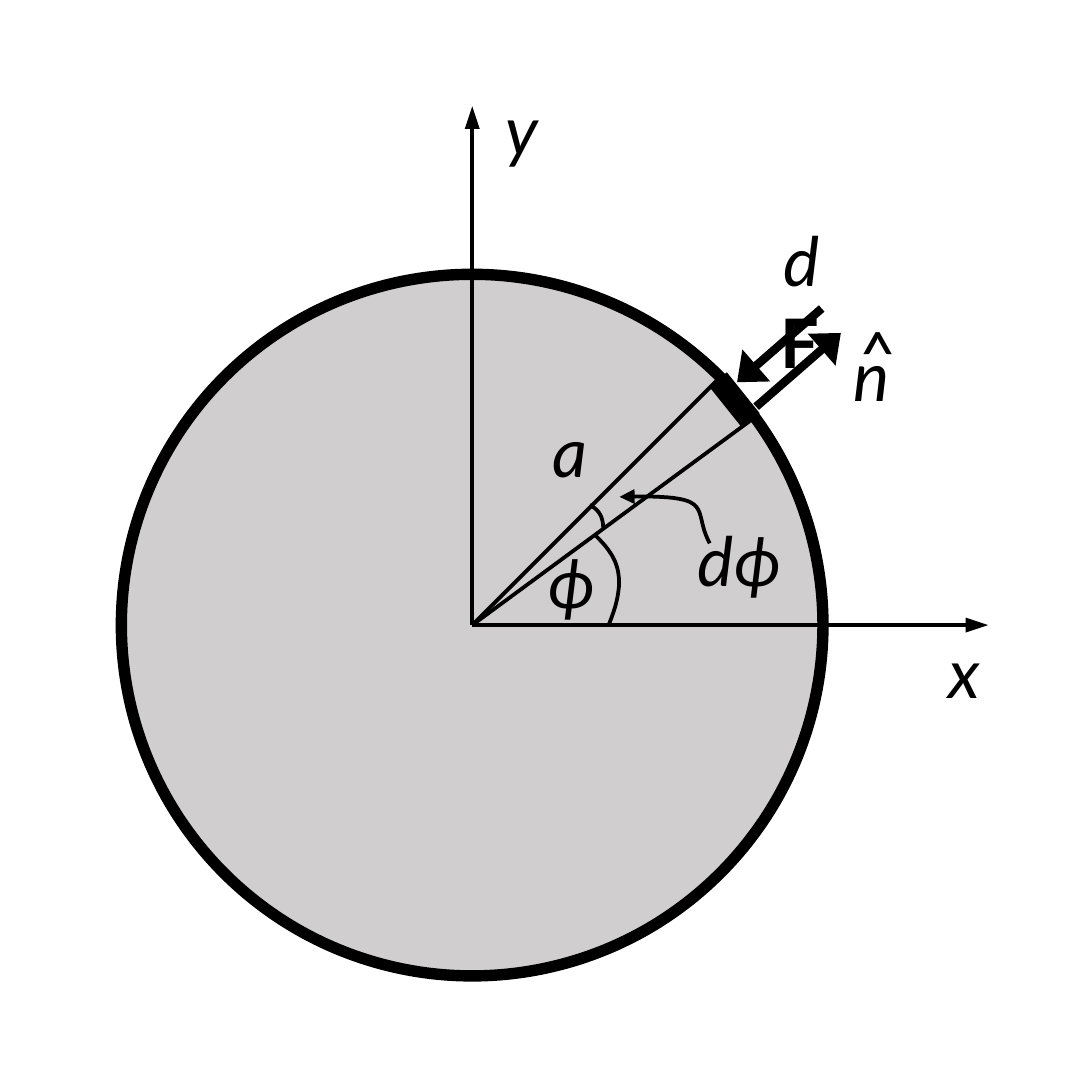
from pptx import Presentation
from pptx.dml.color import RGBColor
from pptx.enum.shapes import MSO_CONNECTOR, MSO_SHAPE
from pptx.enum.text import MSO_AUTO_SIZE, PP_ALIGN
from pptx.oxml.ns import qn
from pptx.util import Inches, Pt
from lxml.etree import SubElement

INK, DISC = "000000", "D0CECE"
FONT, TEXT_SIZE = "Lato", 18
LABEL_HEIGHT = 0.4
CENTER = (1.73, 2.29)
RADIUS = 1.285
CURVE_STEPS = 24

AXIS_HEAD = {"w": "sm", "len": "med"}
POINTER_HEAD = {"w": "sm", "len": "sm"}
FORCE_HEAD = {"w": "lg", "len": "med"}

RIM_START, RIM_END = (2.63, 1.39), (2.75, 1.54)

LINES = [
    (CENTER, (1.73, 0.39), 1, AXIS_HEAD),
    (CENTER, (3.62, 2.29), 1, AXIS_HEAD),
    (CENTER, RIM_START, 1, None),
    (CENTER, RIM_END, 1, None),
    (RIM_START, RIM_END, 6, None),
    ((2.77, 1.49), (3.08, 1.22), 2.25, FORCE_HEAD),
    ((3.01, 1.13), (2.7, 1.4), 2.25, FORCE_HEAD),
]

CURVES = [
    ([(2.18, 1.96), (2.25, 2.03), (2.31, 2.1), (2.23, 2.29)], None),
    ([(2.16, 1.85), (2.2, 1.87), (2.21, 1.9), (2.21, 1.94)], None),
    ([(2.6, 1.99), (2.53, 1.86), (2.64, 1.81), (2.27, 1.82)], POINTER_HEAD),
]

LABELS = [
    ("y", 1.74, 0.27, 0.33),
    ("x", 3.37, 2.26, 0.32),
    ("a", 1.92, 1.45, 0.33),
    ("ϕ", 1.91, 1.93, 0.37),
    ("dϕ", 2.4, 1.85, 0.56),
]
FORCE = (2.64, 0.75, 0.46)
NORMAL = [("n", 3.03, 1.17, 0.33), ("^", 3.04, 1.1, 0.33)]


def color(value):
    return RGBColor.from_string(value)


def style_line(shape, width, head=None):
    shape.line.color.rgb = color(INK)
    shape.line.width = Pt(width)
    if head:
        SubElement(shape.line._get_or_add_ln(), qn("a:tailEnd"), type="triangle", **head)


def add_line(start, end, width, head):
    ends = [Inches(value) for value in start + end]
    line = page.shapes.add_connector(MSO_CONNECTOR.STRAIGHT, *ends)
    style_line(line, width, head)
    SubElement(line._element.spPr, qn("a:effectLst"))


def curve_point(controls, t):
    weights = ((1 - t) ** 3, 3 * t * (1 - t) ** 2, 3 * t * t * (1 - t), t ** 3)
    return tuple(
        Inches(sum(weight * point[axis] for weight, point in zip(weights, controls)))
        for axis in (0, 1)
    )


def add_curve(controls, head):
    points = [curve_point(controls, step / CURVE_STEPS) for step in range(CURVE_STEPS + 1)]
    builder = page.shapes.build_freeform(*points[0])
    builder.add_line_segments(points[1:], close=False)
    curve = builder.convert_to_shape()
    curve.shadow.inherit = False
    curve.fill.background()
    style_line(curve, 1, head)


def add_label(shapes, spans, left, top, width, align=PP_ALIGN.RIGHT, wrap=False):
    box = shapes.add_textbox(Inches(left), Inches(top), Inches(width), Inches(LABEL_HEIGHT))
    box.text_frame.word_wrap = wrap
    box.text_frame.auto_size = MSO_AUTO_SIZE.SHAPE_TO_FIT_TEXT
    para = box.text_frame.paragraphs[0]
    para.alignment = align
    for text, bold in spans:
        span = para.add_run()
        span.text = text
        span.font.name = FONT
        span.font.size = Pt(TEXT_SIZE)
        span.font.bold = bold
        span.font.italic = not bold
        span.font.color.rgb = color(INK)


deck = Presentation()
deck.slide_width = deck.slide_height = Inches(4)
page = deck.slides.add_slide(deck.slide_layouts[6])

disc = page.shapes.add_shape(
    MSO_SHAPE.OVAL,
    Inches(CENTER[0] - RADIUS), Inches(CENTER[1] - RADIUS),
    Inches(2 * RADIUS), Inches(2 * RADIUS),
)
disc.shadow.inherit = False
disc.fill.solid()
disc.fill.fore_color.rgb = color(DISC)
style_line(disc, 3)

for line in LINES:
    add_line(*line)
for curve in CURVES:
    add_curve(*curve)
for text, *place in LABELS:
    add_label(page.shapes, [(text, False)], *place)
add_label(page.shapes, [("d", False), ("F", True)], *FORCE, wrap=True)

normal = page.shapes.add_group_shape()
for text, *place in NORMAL:
    add_label(normal.shapes, [(text, False)], *place, align=PP_ALIGN.LEFT)

deck.save("out.pptx")
